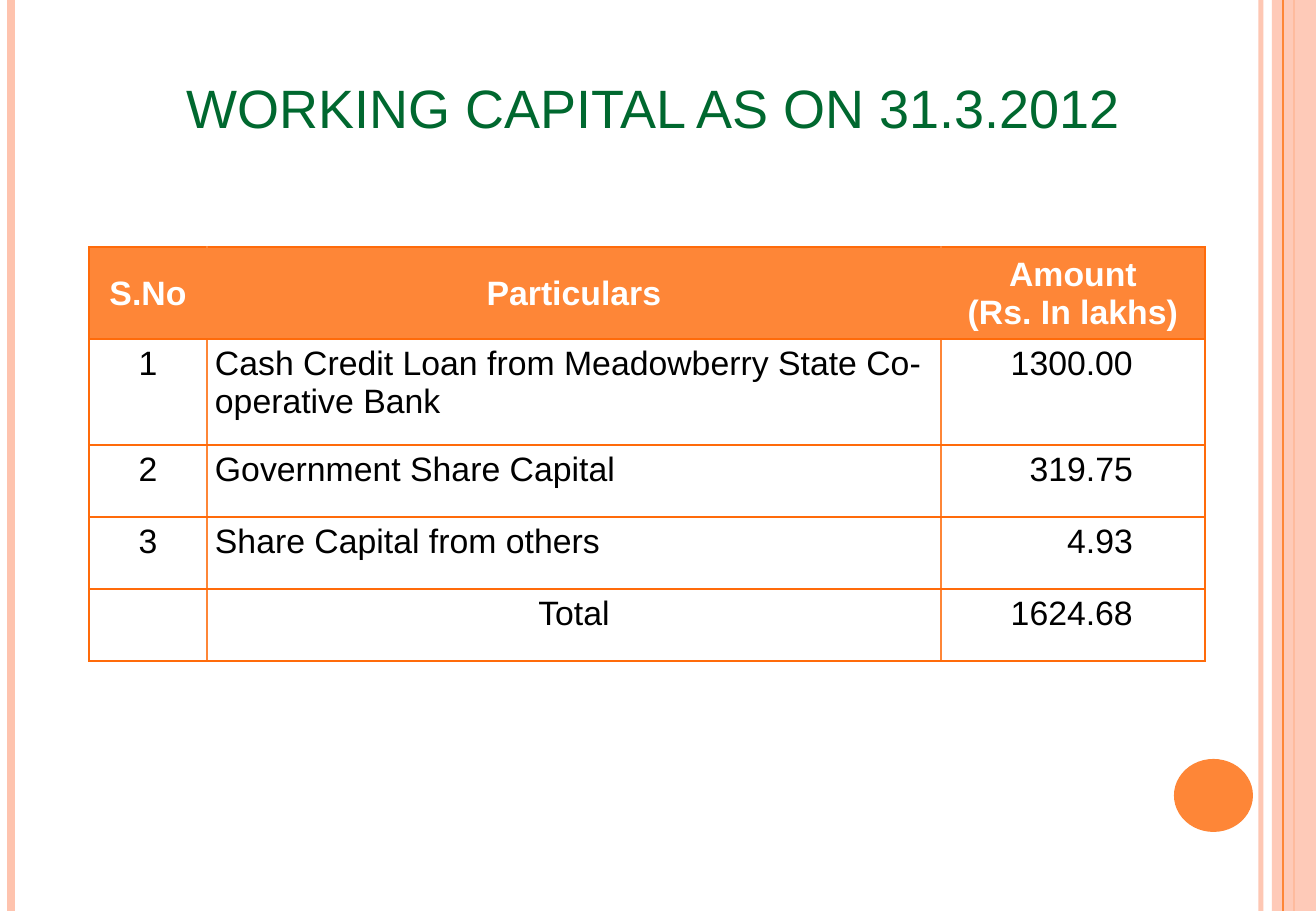
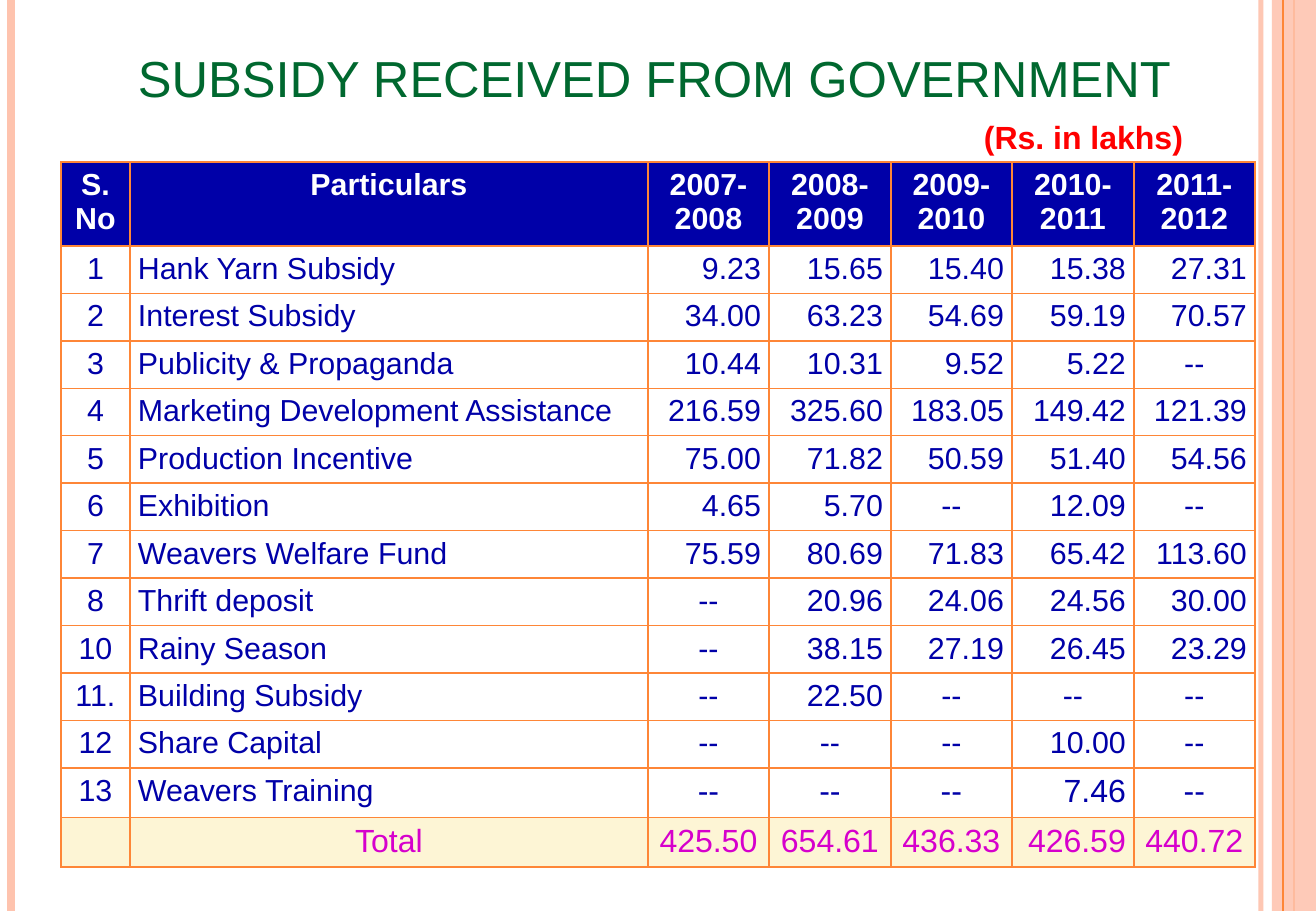
import pptx
import pptx.util
import pptx.dml.color
import pptx.enum.text
import pptx.enum.shapes
import pptx.oxml
import lxml.etree

PX = 7526
WIDE, HIGH = 1316, 911
PEACH, ORANGE, DEEP = "FEC3AE", "FE8637", "FF6B0A"
GREEN, NAVY, PINK, WHITE = "00682F", "0000A8", "D600CC", "FFFFFF"
NS = "http://schemas.openxmlformats.org/drawingml/2006/main"
MID = pptx.enum.text.MSO_ANCHOR.MIDDLE
TOP = pptx.enum.text.MSO_ANCHOR.TOP
SIDES = {
    "l": pptx.enum.text.PP_ALIGN.LEFT,
    "c": pptx.enum.text.PP_ALIGN.CENTER,
    "r": pptx.enum.text.PP_ALIGN.RIGHT,
}


def hue(code):
    return pptx.dml.color.RGBColor.from_string(code)


def write(frame, text, size=18, color="000000", bold=False, side="l"):
    for i, line in enumerate(text.split("\n")):
        para = frame.paragraphs[0] if i == 0 else frame.add_paragraph()
        para.alignment = SIDES[side]
        para.font.size = pptx.util.Pt(size)
        if line:
            run = para.add_run()
            run.text = line
            run.font.name = "Arial"
            run.font.size = pptx.util.Pt(size)
            run.font.bold = bold
            run.font.color.rgb = hue(color)


bands = [
    ("line", 1261, 3, PEACH, 93),
    ("line", 11, 4.5, PEACH, 100),
    ("line", 1294, 1.5, ORANGE, 100),
    ("rect", 1272, 44, PEACH, 87),
    ("line", 1283, 0.75, ORANGE, 100),
]

funds = [
    ["S.No", "Particulars", "Amount\n(Rs. In lakhs)"],
    ["1", "Cash Credit Loan from Meadowberry State Co-operative Bank", "1300.00"],
    ["2", "Government Share Capital", "319.75"],
    ["3", "Share Capital from others", "4.93"],
    ["", "Total", "1624.68"],
]

grants = [
    ["S.\nNo", "Particulars", "2007-2008", "2008-2009", "2009-2010", "2010-2011", "2011-2012"],
    ["1", "Hank Yarn Subsidy", "9.23", "15.65", "15.40", "15.38", "27.31"],
    ["2", "Interest Subsidy", "34.00", "63.23", "54.69", "59.19", "70.57"],
    ["3", "Publicity & Propaganda", "10.44", "10.31", "9.52", "5.22", "--"],
    ["4", "Marketing Development Assistance", "216.59", "325.60", "183.05", "149.42", "121.39"],
    ["5", "Production Incentive", "75.00", "71.82", "50.59", "51.40", "54.56"],
    ["6", "Exhibition", "4.65", "5.70", "--", "12.09", "--"],
    ["7", "Weavers Welfare Fund", "75.59", "80.69", "71.83", "65.42", "113.60"],
    ["8", "Thrift deposit", "--", "20.96", "24.06", "24.56", "30.00"],
    ["10", "Rainy Season", "--", "38.15", "27.19", "26.45", "23.29"],
    ["11.", "Building Subsidy", "--", "22.50", "--", "--", "--"],
    ["12", "Share Capital", "--", "--", "--", "10.00", "--"],
    ["13", "Weavers Training", "--", "--", "--", "7.46", "--"],
    ["", "Total", "425.50", "654.61", "436.33", "426.59", "440.72"],
]

pages = [
    dict(title="WORKING CAPITAL AS ON 31.3.2012", size=32, box=(122, 51, 1063, 112),
         rows=funds, left=89, top=247, cols=[118, 734, 264], tall=[87, 106] + [72] * 3,
         edge=DEEP, head=ORANGE, ink="000000", foot=WHITE, last="000000",
         font=20, big=20, anchor=MID, pad=72),
    dict(title="SUBSIDY RECEIVED FROM GOVERNMENT", size=30, box=(30, 21, 1250, 112),
         rows=grants, left=61, top=162, cols=[69, 518] + [121 + i % 2 for i in range(5)],
         tall=[79] + [46 - i % 2 for i in range(11)] + [47, 47],
         edge=ORANGE, head=NAVY, ink=NAVY, foot="FDF5D5", last=PINK,
         font=18, big=19, anchor=TOP, pad=8),
]

deck = pptx.Presentation()
deck.slide_width, deck.slide_height = WIDE * PX, HIGH * PX

for page in pages:
    slide = deck.slides.add_slide(deck.slide_layouts[6])
    shapes = slide.shapes

    for kind, x, width, color, alpha in bands:
        if kind == "line":
            band = shapes.add_connector(
                pptx.enum.shapes.MSO_CONNECTOR.STRAIGHT, x * PX, 0, x * PX, HIGH * PX)
            band.line.width = pptx.util.Pt(width)
            band.line.color.rgb = hue(color)
            lxml.etree.SubElement(band._element.spPr, f"{{{NS}}}effectLst")
        else:
            band = shapes.add_shape(
                pptx.enum.shapes.MSO_SHAPE.RECTANGLE, x * PX, 0, width * PX, HIGH * PX)
            band.shadow.inherit = False
            band.fill.solid()
            band.fill.fore_color.rgb = hue(color)
            band.line.fill.background()
        if alpha < 100:
            for tint in band._element.spPr.iter(f"{{{NS}}}srgbClr"):
                lxml.etree.SubElement(tint, f"{{{NS}}}alpha", val=str(alpha * 1000))

    title = shapes.add_textbox(*[n * PX for n in page["box"]]).text_frame
    title.word_wrap = True
    title.vertical_anchor = MID
    write(title, page["title"], size=page["size"], color=GREEN, side="c")

    rows, cols, tall = page["rows"], page["cols"], page["tall"]
    end = len(rows) - 1
    table = shapes.add_table(
        len(rows), len(cols), page["left"] * PX, page["top"] * PX,
        sum(cols) * PX, sum(tall) * PX).table
    table.horz_banding = False
    for c, width in enumerate(cols):
        table.columns[c].width = width * PX
    for r, row in enumerate(rows):
        table.rows[r].height = tall[r] * PX
        for c, text in enumerate(row):
            cell = table.cell(r, c)
            cell.margin_left = cell.margin_right = 8 * PX
            cell.margin_top, cell.margin_bottom = 6 * PX, 5 * PX

            outer = {"lnL": c == 0, "lnR": c == len(cols) - 1, "lnT": True, "lnB": True}
            for tag, strong in outer.items():
                edge = page["edge"] if strong else ORANGE
                cell._tc.get_or_add_tcPr().append(pptx.oxml.parse_xml(
                    f'<a:{tag} xmlns:a="{NS}" w="12700"><a:solidFill>'
                    f'<a:srgbClr val="{edge}"/></a:solidFill></a:{tag}>'))

            fill, ink, size, side = WHITE, page["ink"], page["font"], "c"
            if r == 0:
                fill, ink = page["head"], WHITE
                cell.vertical_anchor = page["anchor"]
            elif r == end:
                fill, ink, size = page["foot"], page["last"], page["big"]
            elif c == 1:
                side = "l"
            if r >= end - 1 and c > 1:
                size = page["big"]
            if r and c > 1 and text != "--" and (r < end or c in (2, 5) and text in ("1624.68", "426.59")):
                side = "r"
                cell.margin_right = page["pad"] * PX
            cell.fill.solid()
            cell.fill.fore_color.rgb = hue(fill)
            write(cell.text_frame, text, size=size, color=ink, bold=r == 0, side=side)

dot = deck.slides[0].shapes.add_shape(
    pptx.enum.shapes.MSO_SHAPE.OVAL, 1174 * PX, 759 * PX, 79 * PX, 73 * PX)
dot.shadow.inherit = False
dot.fill.solid()
dot.fill.fore_color.rgb = hue(ORANGE)
dot.line.fill.background()

unit = deck.slides[1].shapes.add_textbox(972 * PX, 112 * PX, 226 * PX, 51 * PX).text_frame
unit.word_wrap = False
write(unit, "(Rs. in lakhs)", size=19, color="FF0000", bold=True)

deck.save("out.pptx")
